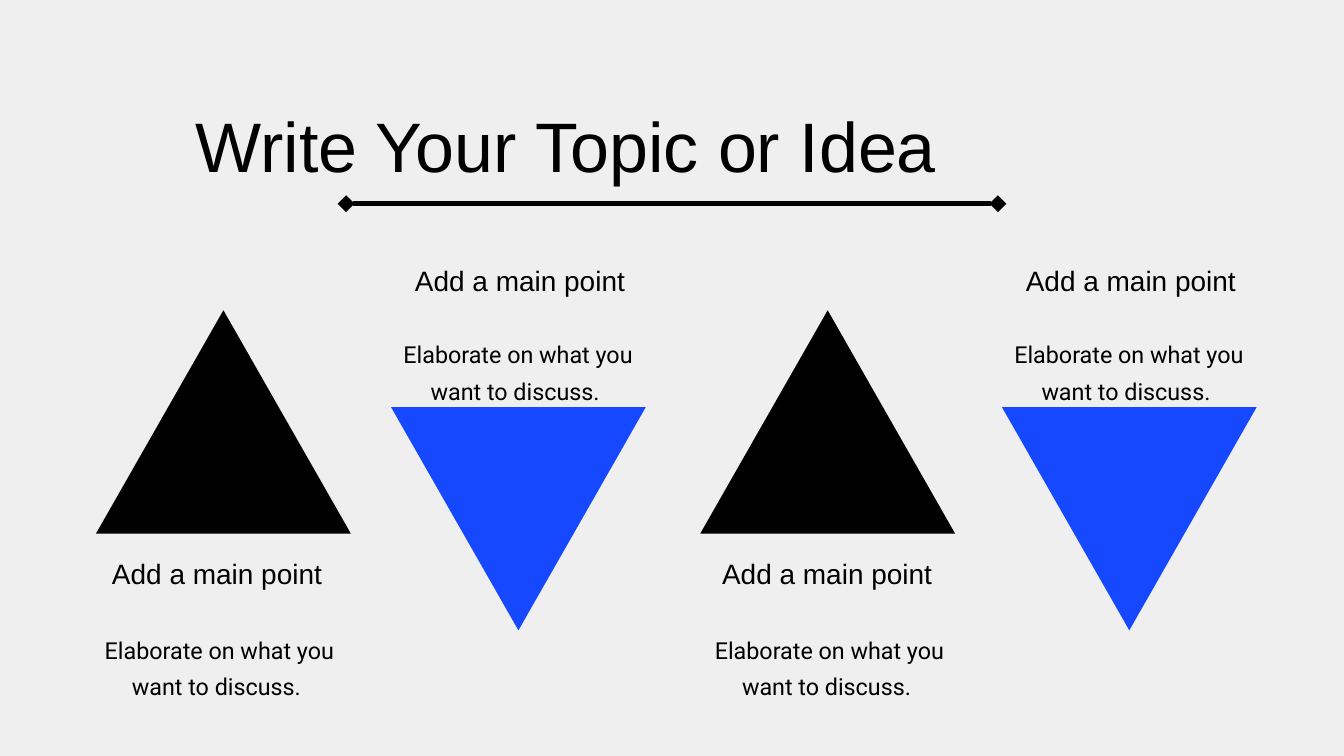
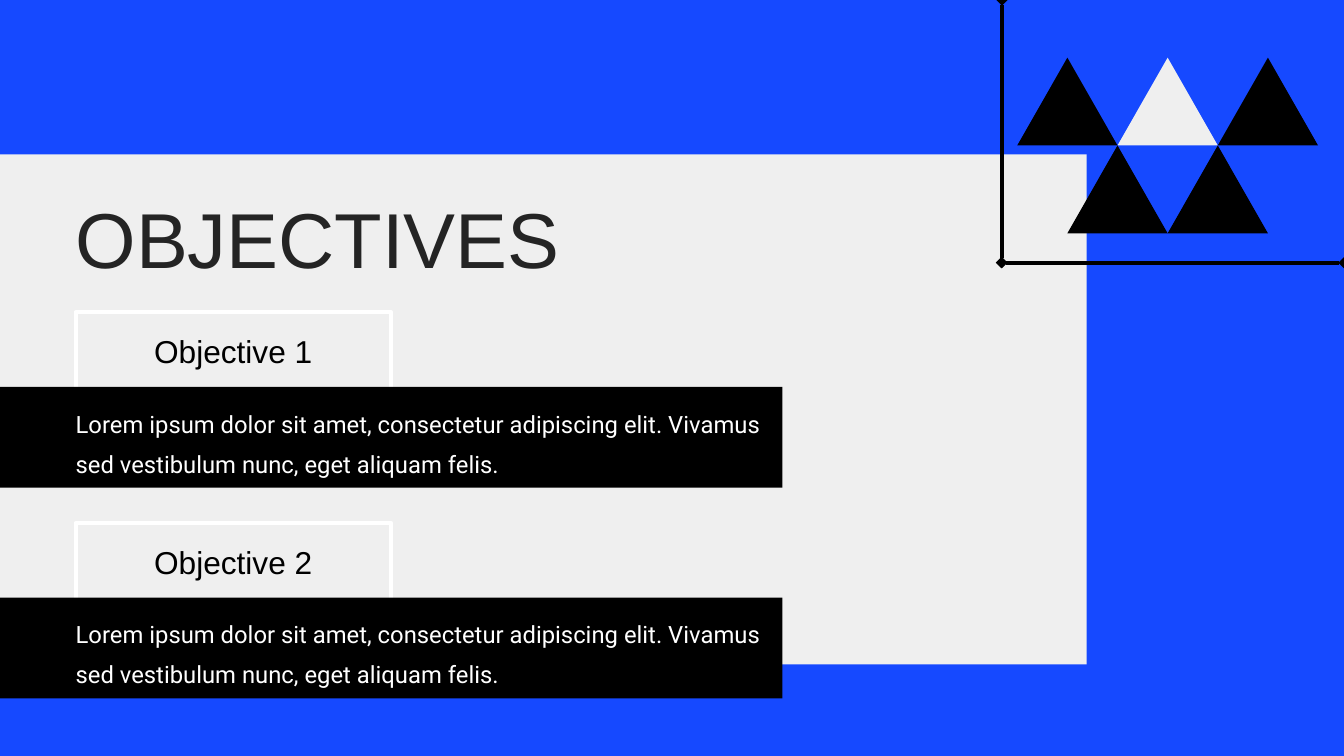
from lxml import etree
from pptx import Presentation
from pptx.dml.color import RGBColor
from pptx.enum.shapes import MSO_CONNECTOR, MSO_SHAPE
from pptx.enum.text import MSO_AUTO_SIZE, PP_ALIGN
from pptx.oxml.ns import qn
from pptx.util import Cm, Pt

RECT = MSO_SHAPE.RECTANGLE
PEAK = MSO_SHAPE.ISOSCELES_TRIANGLE
LINE = MSO_CONNECTOR.STRAIGHT
LEFT, MID = PP_ALIGN.LEFT, PP_ALIGN.CENTER
GROW = MSO_AUTO_SIZE.SHAPE_TO_FIT_TEXT

BLACK, BLUE, GREY, WHITE, DARK = "000000", "1649FF", "EFEFEF", "FFFFFF", "242424"
HEAD, BODY = "Arial", "Roboto"


def color(code):
    return RGBColor.from_string(code)


def start(deck, code):
    slide = deck.slides.add_slide(deck.slide_layouts[6])
    slide.background.fill.solid()
    slide.background.fill.fore_color.rgb = color(code)
    return slide


def text(slide, box, words, size, font, code=BLACK, align=LEFT, gap=1.4):
    frame = slide.shapes.add_textbox(*map(Cm, box)).text_frame
    frame.word_wrap = True
    frame.auto_size = GROW
    frame.margin_left = frame.margin_right = 0
    frame.margin_top = frame.margin_bottom = 0
    para = frame.paragraphs[0]
    para.alignment = align
    para.line_spacing = gap
    run = para.add_run()
    run.text = words
    run.font.size = Pt(size)
    run.font.name = font
    run.font.color.rgb = color(code)


def shape(slide, kind, box, fill=None, edge=None, turn=0):
    item = slide.shapes.add_shape(kind, *map(Cm, box))
    item.shadow.inherit = False
    item.rotation = turn
    if fill:
        item.fill.solid()
        item.fill.fore_color.rgb = color(fill)
    else:
        item.fill.background()
    if edge:
        item.line.color.rgb = color(edge)
        item.line.width = Pt(4.5)
    else:
        item.line.fill.background()


def rule(slide, ends, width):
    link = slide.shapes.add_connector(LINE, *map(Cm, ends))
    link.line.color.rgb = color(BLACK)
    link.line.width = Pt(width)
    props = link._element.spPr
    etree.SubElement(props, qn("a:effectLst"))
    for tag in ("a:headEnd", "a:tailEnd"):
        etree.SubElement(props.find(qn("a:ln")), qn(tag), type="diamond")


def point(slide, left, slip, down):
    top = 15.39 if down else 11.73
    fill, turn = (BLUE, 180) if down else (BLACK, 0)
    high, low, nudge = (-5.92, -2.84, 0) if down else (8.8, 12, 0.16)
    shape(slide, PEAK, (left, top, 9.63, 8.44), fill, turn=turn)
    text(slide, (left + slip, top + high, 9.75, 1.4), "Add a main point",
         30, HEAD, align=MID)
    text(slide, (left + slip + nudge, top + low, 9.6, 2.24),
         "Elaborate on what you want to discuss. ", 25, BODY, align=MID, gap=1.3)


def topic(deck):
    slide = start(deck, GREY)
    text(slide, (7.39, 3.25, 36.02, 3.23), "Write Your Topic or Idea",
         75, HEAD, gap=1.2)
    for left, slip, down in ((3.63, -0.3, False), (14.78, 0, True),
                             (26.47, -0.08, False), (37.87, 0, True)):
        point(slide, left, slip, down)
    rule(slide, (37.72, 7.7, 13.08, 7.7), 6)


def goal(slide, left, top, num):
    shape(slide, RECT, (left, top, 11.92, 3.88), edge=WHITE)
    shape(slide, RECT, (0, top + 2.82, 29.57, 3.81), BLACK)
    text(slide, (left + 0.5, top + 1.04, 10.92, 1.09), f"Objective {num}",
         33.9, HEAD, align=MID, gap=0.78)
    text(slide, (left, top + 3.23, 26.06, 2.46),
         "Lorem ipsum dolor sit amet, consectetur adipiscing elit. "
         "Vivamus sed vestibulum nunc, eget aliquam felis.",
         25.5, BODY, WHITE)


def corner(slide, left, top):
    wide, tall = 3.79, 3.32
    rows = ((0, (BLACK, GREY, BLACK)), (wide / 2, (BLACK, BLACK)))
    for row, (shift, fills) in enumerate(rows):
        for col, fill in enumerate(fills):
            shape(slide, PEAK, (left + shift + col * wide, top + row * tall,
                                wide, tall), fill)
    base = top + 7.75
    rule(slide, (left - 0.6, base, 50.8, base), 4)
    rule(slide, (left - 0.58, base, left - 0.58, 0), 4)


def goals(deck):
    slide = start(deck, BLUE)
    shape(slide, RECT, (0, 5.84, 41.07, 19.28), GREY)
    text(slide, (2.86, 7.95, 28.58, 2.62), "OBJECTIVES", 83.4, HEAD, DARK, gap=0.78)
    for row in range(2):
        goal(slide, 2.86, 11.81 + row * 7.96, row + 1)
    corner(slide, 38.45, 2.18)


def main():
    deck = Presentation()
    deck.slide_width, deck.slide_height = Cm(50.8), Cm(28.58)
    topic(deck)
    goals(deck)
    deck.save("out.pptx")


if __name__ == "__main__":
    main()
